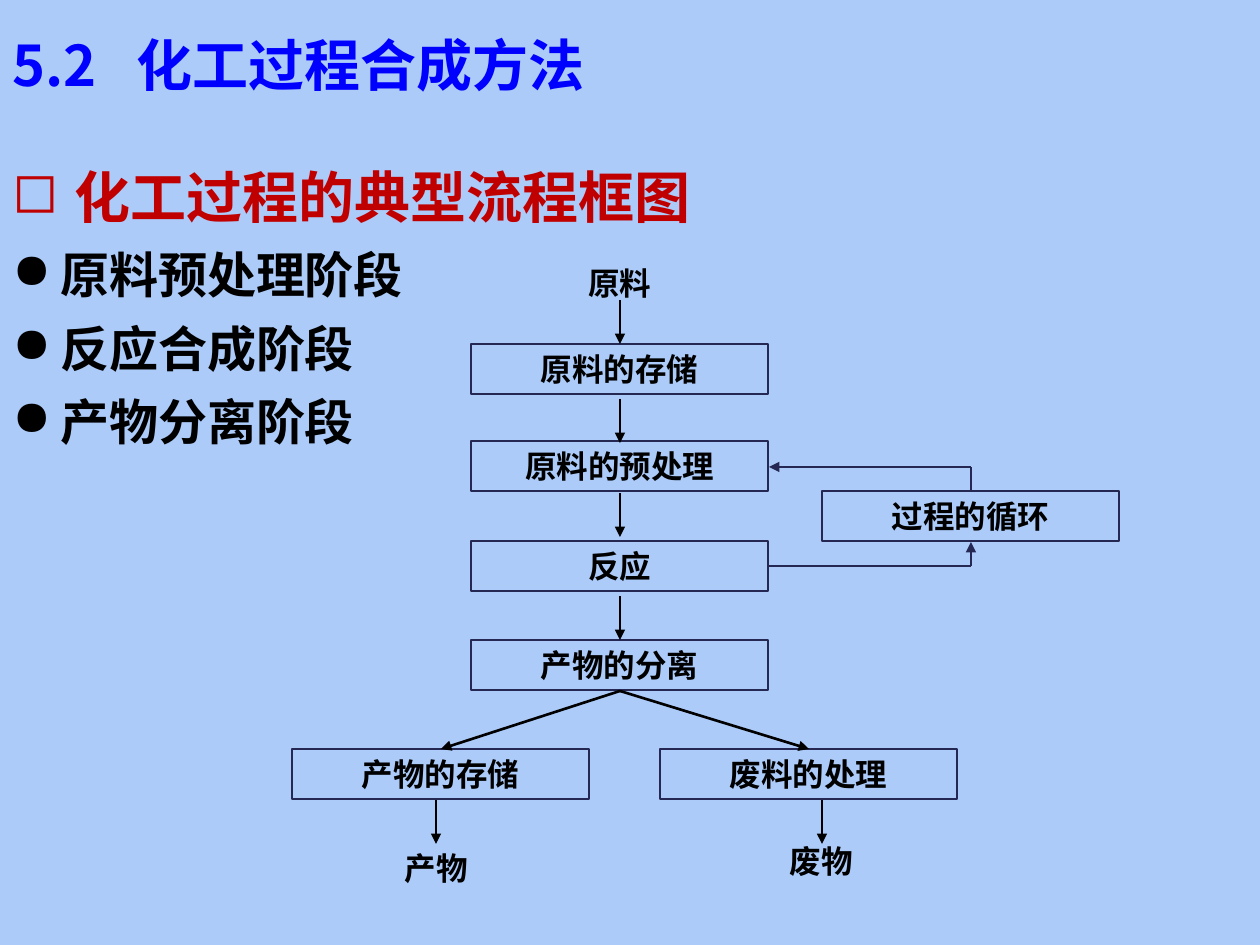
from dataclasses import dataclass

import pptx
import pptx.dml.color
import pptx.enum.shapes
import pptx.enum.text
import pptx.oxml
import pptx.oxml.ns
import pptx.util
from lxml import etree

PX = 914400 // 126
ALIGN = pptx.enum.text.PP_ALIGN
ANCHOR = pptx.enum.text.MSO_ANCHOR


@dataclass(frozen=True)
class Theme:
    font: str = "Noto Sans CJK SC"
    background: str = "ACCBF9"
    title: str = "0000FF"
    heading: str = "C00000"
    ink: str = "000000"
    frame: str = "242852"
    title_size: int = 32
    body_size: int = 28
    label_size: int = 18
    frame_width: float = 0.75
    arrow_width: float = 1.5


THEME = Theme()


def px(n):
    return pptx.util.Emu(n * PX)


def rgb(value):
    return pptx.dml.color.RGBColor.from_string(value)


def assign(obj, values):
    for name, value in values.items():
        setattr(obj, name, value)


def add_child(parent, tag, **attrs):
    return etree.SubElement(parent, pptx.oxml.ns.qn(tag), attrs)


def add_run(p, text, size, color):
    r = p.add_run()
    r.text = text
    assign(r.font, {"name": THEME.font, "size": pptx.util.Pt(size), "bold": True})
    r.font.color.rgb = rgb(color)
    add_child(r.font._element, "a:ea", typeface=THEME.font)


def format_frame(tf, anchor, top=0):
    assign(tf, {"word_wrap": True, "vertical_anchor": anchor,
                "margin_top": px(top), "margin_bottom": 0})


def add_text_frame(s, left, top, width, height, anchor, inset=0):
    tf = s.shapes.add_textbox(px(left), px(top), px(width), px(height)).text_frame
    format_frame(tf, anchor, inset)
    return tf


def add_title(s, number, text):
    p = add_text_frame(s, 0, 24, 1260, 81, ANCHOR.MIDDLE).paragraphs[0]
    tabs = add_child(p._p.get_or_add_pPr(), "a:tabLst")
    add_child(tabs, "a:tab", pos=str(px(124)), algn="l")
    add_run(p, f"{number}\t{text}", THEME.title_size, THEME.title)


def add_bullet(p, char, text, size, color, indent, pitch):
    pPr = p._p.get_or_add_pPr()
    pPr.set("marL", str(px(indent)))
    pPr.set("indent", str(-px(indent)))
    add_child(pPr, "a:buChar", char=char)
    p.line_spacing = pptx.util.Pt(pitch)
    add_run(p, text, size, color)


def add_stages(s, heading, stages):
    tf = add_text_frame(s, 0, 135, 1260, 314, ANCHOR.TOP, 11)
    add_bullet(tf.paragraphs[0], "◻", heading, THEME.title_size, THEME.heading, 62, 48)
    for stage in stages:
        add_bullet(tf.add_paragraph(), "●", stage, THEME.body_size, THEME.ink, 48, 42)


def add_label(tf, text):
    p = tf.paragraphs[0]
    p.alignment = ALIGN.CENTER
    add_run(p, text, THEME.label_size, THEME.ink)


def add_step(s, text, left, top):
    sp = s.shapes.add_shape(pptx.enum.shapes.MSO_SHAPE.RECTANGLE,
                            px(left), px(top), px(297), px(50))
    sp.shadow.inherit = False
    sp.fill.background()
    sp.line.color.rgb = rgb(THEME.frame)
    sp.line.width = pptx.util.Pt(THEME.frame_width)
    format_frame(sp.text_frame, ANCHOR.MIDDLE)
    add_label(sp.text_frame, text)


def add_line(s, x1, y1, x2, y2, color, arrow=True):
    c = s.shapes.add_connector(pptx.enum.shapes.MSO_CONNECTOR.STRAIGHT,
                               px(x1), px(y1), px(x2), px(y2))
    c.line.color.rgb = rgb(color)
    c.line.width = pptx.util.Pt(THEME.arrow_width)
    if arrow:
        add_child(c.line._get_or_add_ln(), "a:tailEnd", type="triangle")
    add_child(c._element.spPr, "a:effectLst")


def add_flowchart(s):
    for text, left, top, width in (("原料", 471, 258, 297), ("产物", 362, 843, 149),
                                   ("废物", 747, 836, 149)):
        add_label(add_text_frame(s, left, top, width, 50, ANCHOR.MIDDLE), text)

    for text, left, top in (("原料的存储", 471, 344), ("原料的预处理", 471, 441),
                            ("反应", 471, 541), ("产物的分离", 471, 640),
                            ("产物的存储", 292, 749), ("废料的处理", 660, 749),
                            ("过程的循环", 822, 491)):
        add_step(s, text, left, top)

    for x, y in ((620, 300), (620, 399), (620, 493), (620, 596), (436, 800), (822, 800)):
        add_line(s, x, y, x, y + 44, THEME.ink)
    for x in (441, 809):
        add_line(s, 620, 691, x, 749, THEME.ink)

    for x1, y1, x2, y2, arrow in ((769, 566, 971, 566, False), (971, 566, 971, 542, True),
                                  (971, 491, 971, 467, False), (971, 467, 769, 467, True)):
        add_line(s, x1, y1, x2, y2, THEME.frame, arrow)


def main():
    prs = pptx.Presentation()
    assign(prs, {"slide_width": px(1260), "slide_height": px(945)})
    s = prs.slides.add_slide(prs.slide_layouts[6])
    s.background.fill.solid()
    s.background.fill.fore_color.rgb = rgb(THEME.background)
    add_stages(s, "化工过程的典型流程框图", ("原料预处理阶段", "反应合成阶段", "产物分离阶段"))
    add_title(s, "5.2", "化工过程合成方法")
    add_flowchart(s)
    prs.save("out.pptx")


if __name__ == "__main__":
    main()
